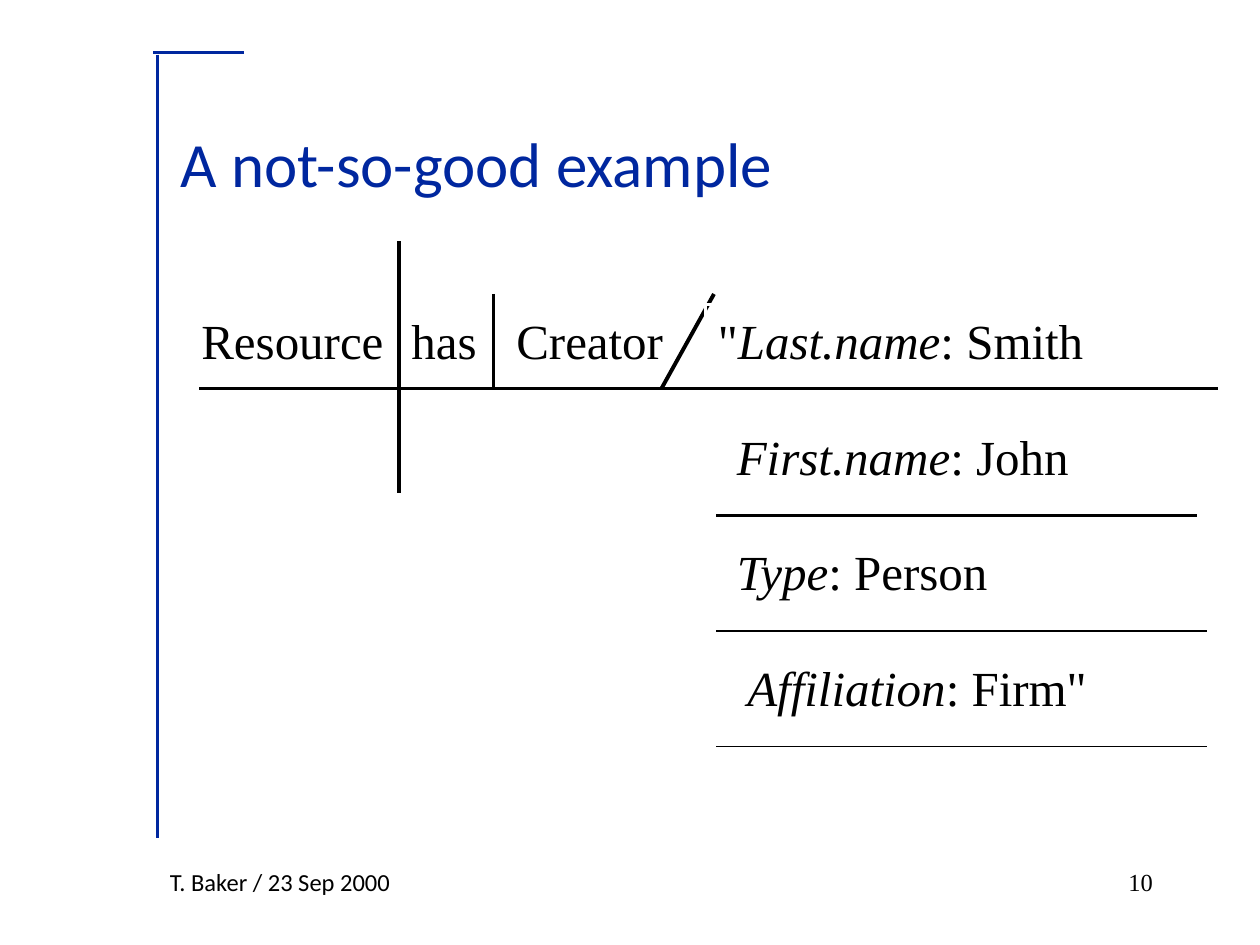
from lxml.etree import SubElement
from pptx import Presentation
from pptx.dml.color import RGBColor
from pptx.enum.shapes import MSO_CONNECTOR, MSO_SHAPE
from pptx.enum.text import MSO_ANCHOR, MSO_AUTO_SIZE, PP_ALIGN
from pptx.oxml.ns import qn
from pptx.util import Inches, Pt

COLORS = {"blue": "00279F", "black": "000000", "white": "FFFFFF"}
SANS, SERIF = "Calibri", "Times New Roman"


def color(name):
    return RGBColor.from_string(COLORS[name])


def write(frame, *runs, size=28, font=SERIF, ink="black", align=PP_ALIGN.LEFT,
          wrap=False, grow=True, anchor=MSO_ANCHOR.TOP):
    """Fill a frame with one paragraph; a run is a text or (text, italic)."""
    frame.word_wrap = wrap
    frame.auto_size = MSO_AUTO_SIZE.SHAPE_TO_FIT_TEXT if grow else MSO_AUTO_SIZE.NONE
    frame.vertical_anchor = anchor
    para = frame.paragraphs[0]
    para.alignment = align
    for item in runs:
        text, slant = (item, False) if isinstance(item, str) else item
        run = para.add_run()
        run.text = text
        run.font.size, run.font.name = Pt(size), font
        run.font.italic = slant
        run.font.color.rgb = color(ink)


class Board:
    """One slide on a grid of 120 columns by 90 rows."""

    def __init__(self):
        self.deck = Presentation()
        self.deck.slide_width, self.deck.slide_height = Inches(10), Inches(7.5)
        self.unit = self.deck.slide_width / 120
        self.slide = self.deck.slides.add_slide(self.deck.slide_layouts[5])
        self.shapes = self.slide.shapes

    def grid(self, *cells):
        return [round(cell * self.unit) for cell in cells]

    def title(self, text, *box):
        shape = self.shapes.title
        shape.left, shape.top, shape.width, shape.height = self.grid(*box)
        write(shape.text_frame, text, size=36, font=SANS, ink="blue",
              wrap=True, grow=False, anchor=MSO_ANCHOR.MIDDLE)

    def line(self, *ends, ink="black", width=2.25):
        line = self.shapes.add_connector(MSO_CONNECTOR.STRAIGHT, *self.grid(*ends))
        line.line.color.rgb = color(ink)
        line.line.width = Pt(width)
        SubElement(line._element.spPr, qn("a:effectLst"))

    def text(self, box, *runs, **style):
        shape = self.shapes.add_textbox(*self.grid(*box))
        write(shape.text_frame, *runs, **style)

    def frame(self, box, *runs, **style):
        shape = self.shapes.add_shape(MSO_SHAPE.RECTANGLE, *self.grid(*box))
        shape.shadow.inherit = False
        shape.fill.background()
        shape.line.color.rgb = color("white")
        shape.line.width = Pt(1.5)
        write(shape.text_frame, *runs, **style)


def main():
    board = Board()
    top, tall, base = 29, 6.84, 37

    # Corner rule and footer
    board.line(23.2, 5, 14.6, 5, ink="blue", width=2)
    board.line(15, 5.2, 15, 79.8, ink="blue", width=2)
    board.text((15, 82, 31, 4), "T. Baker / 23 Sep 2000",
               size=14, font=SANS, wrap=True)
    board.title("A not-so-good example", 16, 8, 97, 15)

    # Sentence diagram
    board.line(19, base, 116, base)
    for left, width, word in ((18, 20, "Resource"), (38, 9, "has"),
                              (48, 17, "Creator")):
        board.text((left, top, width, tall), word)
    board.line(38, 23, 38, 47)
    board.line(47, 28, 47, base)
    board.line(68, 28, 63, base)
    board.frame((67.2, top, 37.2, tall), '"', ("Last.name", True), ": Smith")

    # Further values, each on its own rule
    parts = ((69, 34.4, "First.name", ": John", 114, 1.5),
             (69, 27, "Type", ": Person", 115, 1),
             (70, 36, "Affiliation", ': Firm"', 115, 1))
    for step, (left, width, name, value, end, weight) in enumerate(parts, 1):
        board.text((left, top + 11 * step, width, tall), (name, True), value)
        rule = base + 1.1 + 11 * step
        board.line(68.2, rule, end, rule, width=weight)

    # Page number
    board.text((86, 82, 25, 6), "10", size=14, align=PP_ALIGN.RIGHT,
               wrap=True, grow=False)
    board.deck.save("out.pptx")


if __name__ == "__main__":
    main()
